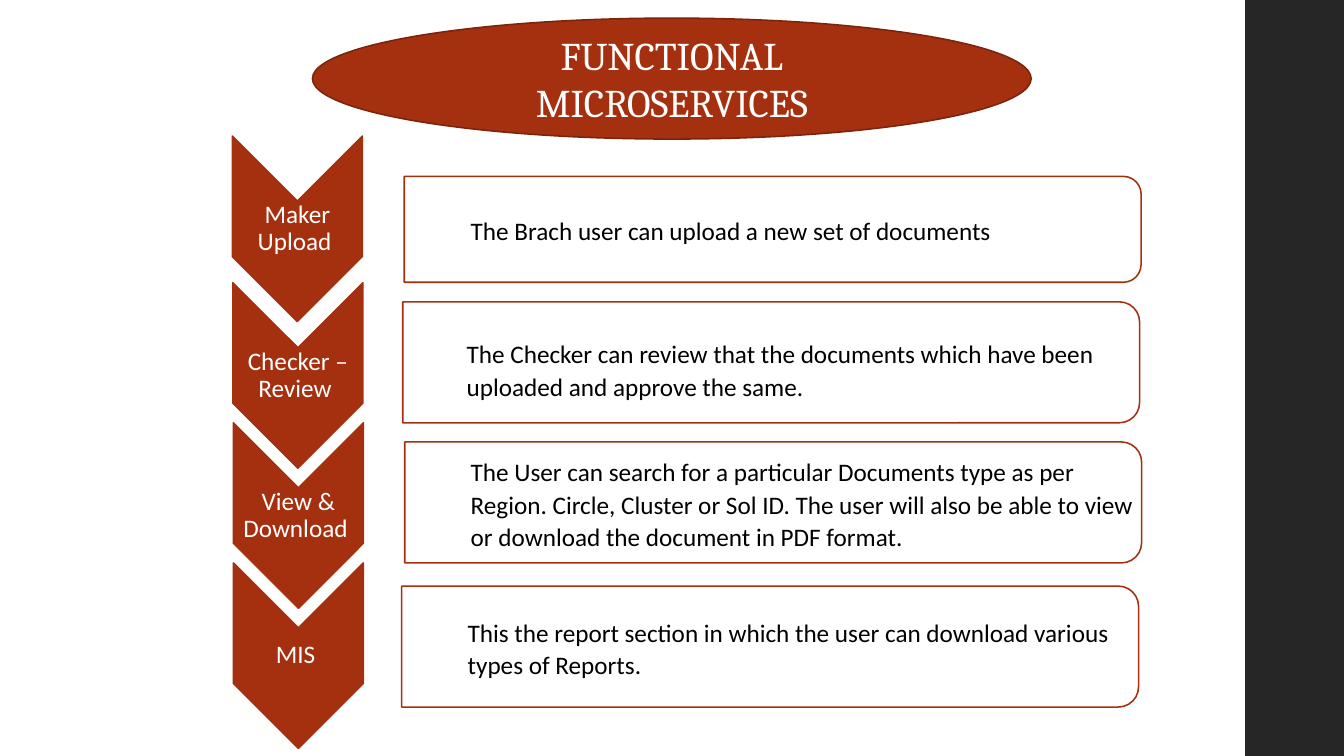
from dataclasses import dataclass

from pptx import Presentation
from pptx.dml.color import RGBColor
from pptx.enum.shapes import MSO_SHAPE as Preset
from pptx.enum.text import MSO_ANCHOR as Anchor, MSO_AUTO_SIZE as AutoSize, PP_ALIGN as Align
from pptx.shapes.autoshape import Shape
from pptx.slide import Slide
from pptx.text.text import TextFrame
from pptx.util import Inches, Length, Pt


@dataclass(frozen=True)
class Theme:
    rust: RGBColor = RGBColor(0xA5, 0x30, 0x0F)
    rust_dark: RGBColor = RGBColor(0x7A, 0x24, 0x0B)
    charcoal: RGBColor = RGBColor(0x26, 0x26, 0x26)
    white: RGBColor = RGBColor(0xFF, 0xFF, 0xFF)
    black: RGBColor = RGBColor(0, 0, 0)
    title_font: str = "Cambria"
    body_font: str = "Calibri"
    title_size: Pt = Pt(28)
    body_size: Pt = Pt(18)
    outline: Pt = Pt(1.1)


@dataclass(frozen=True)
class Box:
    """An upright area given by its centre and size, in grid cells."""
    center_x: float
    center_y: float
    width: float
    height: float

    def place(self) -> tuple[Length, Length, Length, Length]:
        return (cells(self.center_x - self.width / 2), cells(self.center_y - self.height / 2),
                cells(self.width), cells(self.height))

    def turned(self) -> "Box":
        return Box(self.center_x, self.center_y, self.height, self.width)


@dataclass(frozen=True)
class Service:
    name: str
    description: str
    step: Box
    panel: Box
    text_x: float
    text_y: float


THEME = Theme()
COLUMNS, ROWS = 133.33, 75  # square cells, a tenth of an inch each
SIDEBAR_WIDTH = 9.8
TITLE_OVAL = Box(66.65, 7.8, 71.3, 12)
TITLE_TEXT = Box(66.65, 7.8, 50.4, 8.5)
STEP_WIDTH, STEP_HEIGHT = 12.9, 18.4
LABEL_HEIGHT = 5.5
PANEL_WIDTH, PANEL_HEIGHT, FIRST_PANEL_HEIGHT = 73.1, 12, 10.5
TEXT_WIDTH, TEXT_HEIGHT = 72.5, 10.8
TEXT_INDENT, TEXT_EDGE = 6.6, 0.1


def cells(count: float) -> Length:
    return Inches(count / 10)


def step(x: float, y: float) -> Box:
    return Box(x, y, STEP_WIDTH, STEP_HEIGHT)


def panel(x: float, y: float, height: float = PANEL_HEIGHT) -> Box:
    return Box(x, y, PANEL_WIDTH, height)


SERVICES = (
    Service("Maker Upload ", "The Brach user can upload a new set of documents",
            step(29.5, 22.7), panel(76.65, 22.75, FIRST_PANEL_HEIGHT), 40.1, 22.75),
    Service("Checker – Review ",
            "The Checker can review that the documents which have been uploaded "
            "and approve the same.",
            step(29.55, 37.25), panel(76.5, 35.95), 39.7, 36.6),
    Service("View & Download ",
            "The User can search for a particular Documents type as per Region. Circle, "
            "Cluster or Sol ID. The user will also be able to view or download the "
            "document in PDF format.",
            step(29.6, 51.15), panel(76.7, 49.85), 40.1, 49.9),
    Service("MIS ",
            "This the report section in which the user can download various types of Reports.",
            step(29.6, 65.05), panel(76.4, 64.15), 39.8, 64.2),
)


def add_preset(slide: Slide, preset: Preset, box: Box, fill: RGBColor,
               line: RGBColor, rotation: float = 0) -> Shape:
    area = box.turned() if rotation else box
    shape = slide.shapes.add_shape(preset, *area.place())
    shape.rotation = rotation
    shape.shadow.inherit = False
    shape.fill.solid()
    shape.fill.fore_color.rgb = fill
    shape.line.color.rgb = line
    shape.line.width = THEME.outline
    return shape


def write(frame: TextFrame, text: str, font: str, size: Pt, color: RGBColor,
          align: Align, spacing: float, after: Pt = Pt(0)) -> None:
    frame.word_wrap = True
    frame.auto_size = AutoSize.NONE
    frame.vertical_anchor = Anchor.MIDDLE
    paragraph = frame.paragraphs[0]
    paragraph.alignment = align
    paragraph.line_spacing = spacing
    paragraph.space_after = after
    run = paragraph.add_run()
    run.text = text
    run.font.name = font
    run.font.size = size
    run.font.color.rgb = color


def add_text_area(slide: Slide, box: Box, left_margin: float = TEXT_EDGE) -> TextFrame:
    frame = slide.shapes.add_textbox(*box.place()).text_frame
    frame.margin_left = cells(left_margin)
    frame.margin_top = frame.margin_right = frame.margin_bottom = cells(TEXT_EDGE)
    return frame


def add_sidebar(slide: Slide) -> None:
    box = Box(COLUMNS - SIDEBAR_WIDTH / 2, ROWS / 2, SIDEBAR_WIDTH, ROWS)
    sidebar = add_preset(slide, Preset.RECTANGLE, box, THEME.charcoal, THEME.charcoal)
    sidebar.line.fill.background()


def add_title(slide: Slide) -> None:
    """Set the title on an oval that lies behind it."""
    title = slide.shapes.title
    title.left, title.top, title.width, title.height = TITLE_TEXT.place()
    write(title.text_frame, "FUNCTIONAL MICROSERVICES", THEME.title_font,
          THEME.title_size, THEME.white, Align.CENTER, 1.0)
    oval = add_preset(slide, Preset.OVAL, TITLE_OVAL, THEME.rust, THEME.rust_dark)
    title.element.addprevious(oval.element)


def add_service(slide: Slide, service: Service) -> None:
    add_preset(slide, Preset.CHEVRON, service.step, THEME.rust, THEME.rust, 90)
    label = Box(service.step.center_x, service.step.center_y, STEP_WIDTH, LABEL_HEIGHT)
    write(add_text_area(slide, label), service.name, THEME.body_font,
          THEME.body_size, THEME.white, Align.CENTER, 0.9)

    add_preset(slide, Preset.ROUND_2_SAME_RECTANGLE, service.panel,
               THEME.white, THEME.rust, 90)
    text_box = Box(service.text_x + TEXT_WIDTH / 2, service.text_y, TEXT_WIDTH, TEXT_HEIGHT)
    write(add_text_area(slide, text_box, TEXT_INDENT), service.description, THEME.body_font,
          THEME.body_size, THEME.black, Align.LEFT, 1.07, Pt(8))


def main() -> None:
    deck = Presentation()
    deck.slide_width, deck.slide_height = cells(COLUMNS), cells(ROWS)
    title_only = deck.slide_layouts.get_by_name("Title Only")
    slide = deck.slides.add_slide(title_only)
    add_sidebar(slide)
    add_title(slide)
    for service in SERVICES:
        add_service(slide, service)
    deck.save("out.pptx")


if __name__ == "__main__":
    main()
